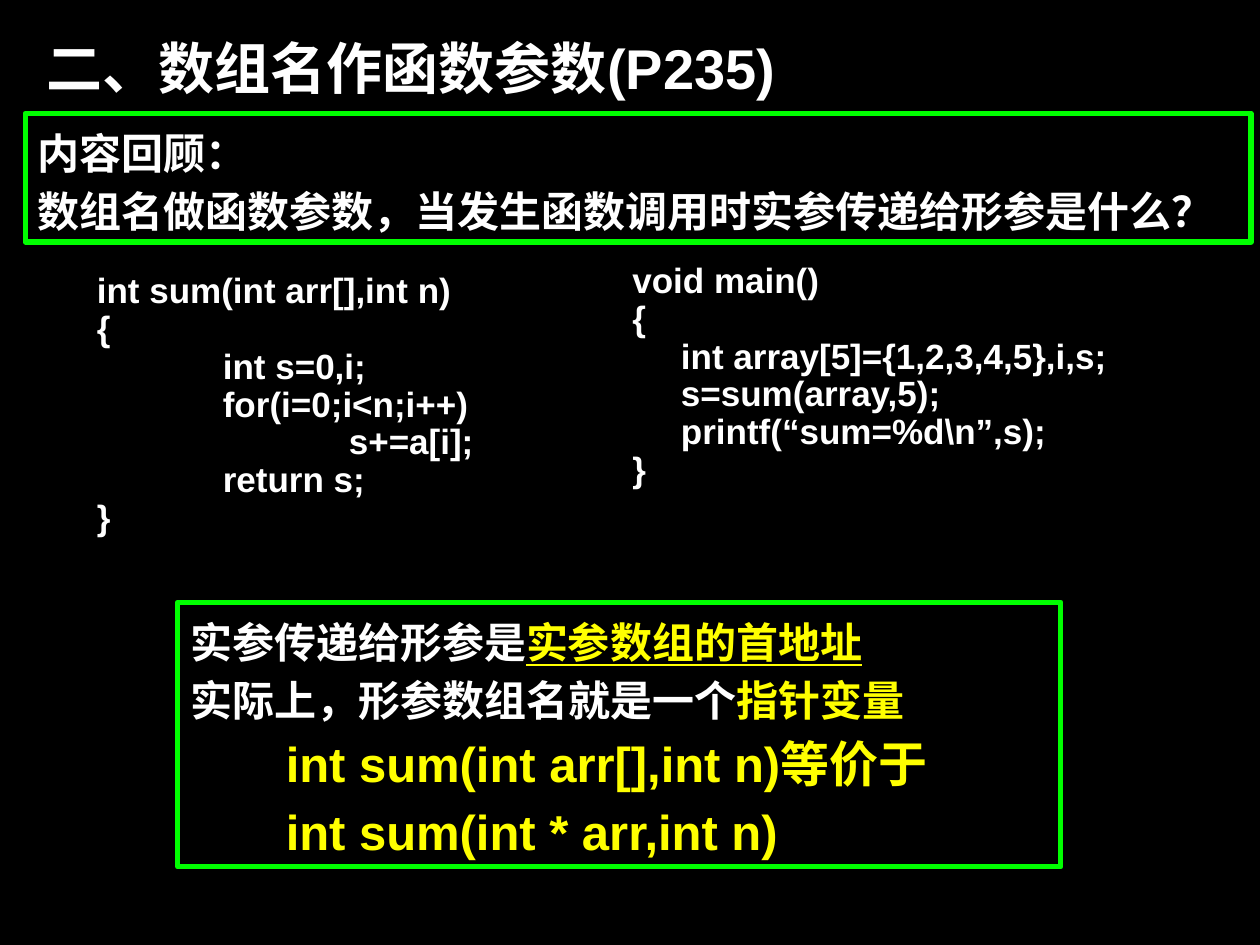
from pptx import Presentation
from pptx.dml.color import RGBColor
from pptx.enum.shapes import MSO_SHAPE as Shape
from pptx.enum.text import MSO_ANCHOR as Anchor, MSO_AUTO_SIZE as AutoSize, PP_ALIGN as Align
from pptx.util import Inches, Pt

BLACK = RGBColor(0x00, 0x00, 0x00)
WHITE = RGBColor(0xFF, 0xFF, 0xFF)
GREEN = RGBColor(0x00, 0xFF, 0x00)
YELLOW = RGBColor(0xFF, 0xFF, 0x00)

COLS, ROWS = 100, 75  # grid over the whole slide


class Deck:
    """Holds the style and the current slide; boxes are placed in columns and rows."""

    FONT = {"name": "Arial", "bold": True}

    def __init__(self, width, height):
        self.prs = Presentation()
        self.prs.slide_width, self.prs.slide_height = Inches(width), Inches(height)
        self.col = self.prs.slide_width / COLS
        self.row = self.prs.slide_height / ROWS

    def add_slide(self, color):
        self.s = self.prs.slides.add_slide(self.prs.slide_layouts[6])
        fill = self.s.background.fill
        fill.solid()
        fill.fore_color.rgb = color

    def place(self, x, y, w, h):
        return [round(v) for v in (x * self.col, y * self.row, w * self.col, h * self.row)]

    def set_lines(self, sp, lines, size, spacing):
        """Each line is (indent in columns, run, ...); a run is (text, format values)."""
        tf = sp.text_frame
        frame = {"word_wrap": True, "vertical_anchor": Anchor.MIDDLE,
                 "auto_size": AutoSize.SHAPE_TO_FIT_TEXT}
        for key, value in frame.items():
            setattr(tf, key, value)
        for i, (indent, *runs) in enumerate(lines):
            p = tf.add_paragraph() if i else tf.paragraphs[0]
            p.alignment, p.line_spacing = Align.LEFT, spacing
            if indent:
                p._p.get_or_add_pPr().set("marL", str(round(indent * self.col)))
            for text, style in runs:
                r = p.add_run()
                r.text = text
                values = {**self.FONT, "size": Pt(size), "color": WHITE, **style}
                r.font.color.rgb = values.pop("color")
                for key, value in values.items():
                    setattr(r.font, key, value)

    def text(self, box, lines, size, spacing=1.0):
        self.set_lines(self.s.shapes.add_textbox(*self.place(*box)), lines, size, spacing)

    def code(self, box, lines, step):
        """Source code given as (level, text), each level indented by step columns."""
        self.text(box, [(level * step, (text, {})) for level, text in lines], 20, 0.9)

    def frame(self, box, lines, size=24, spacing=1.15):
        sp = self.s.shapes.add_shape(Shape.RECTANGLE, *self.place(*box))
        sp.shadow.inherit = False
        sp.fill.background()
        sp.line.color.rgb, sp.line.width = GREEN, Pt(3)
        self.set_lines(sp, lines, size, spacing)


def main():
    deck = Deck(10, 7.5)
    deck.add_slide(BLACK)

    # Title
    deck.text((2.7, 2.1, 92.5, 6.4), [(0, ("二、数组名作函数参数(P235)", {}))], 32)

    # Review question
    deck.frame((2, 9, 97.3, 10.2), [
        (0, ("内容回顾：", {})),
        (0, ("数组名做函数参数，当发生函数调用时实参传递给形参是什么？", {})),
    ])

    # Called function and its caller
    deck.code((6.7, 21.2, 36.2, 22), [
        (0, "int sum(int arr[],int n)"),
        (0, "{"),
        (1, "int s=0,i;"),
        (1, "for(i=0;i<n;i++)"),
        (2, "s+=a[i];"),
        (1, "return s;"),
        (0, "}"),
    ], step=10)
    deck.code((49.2, 20.4, 46.5, 19), [
        (0, "void main()"),
        (0, "{"),
        (1, "int array[5]={1,2,3,4,5},i,s;"),
        (1, "s=sum(array,5);"),
        (1, "printf(“sum=%d\\n”,s);"),
        (0, "}"),
    ], step=3.86)

    # Answer
    key = {"color": YELLOW}
    formula = {**key, "size": Pt(28)}
    deck.frame((14.1, 47.8, 70.1, 21), [
        (0, ("实参传递给形参是", {}), ("实参数组的首地址", {**key, "underline": True})),
        (0, ("实际上，形参数组名就是一个", {}), ("指针变量", key)),
        (7.6, ("int sum(int arr[],int n)等价于", formula)),
        (7.6, ("int sum(int * arr,int n)", formula)),
    ])

    deck.prs.save("out.pptx")


if __name__ == "__main__":
    main()
